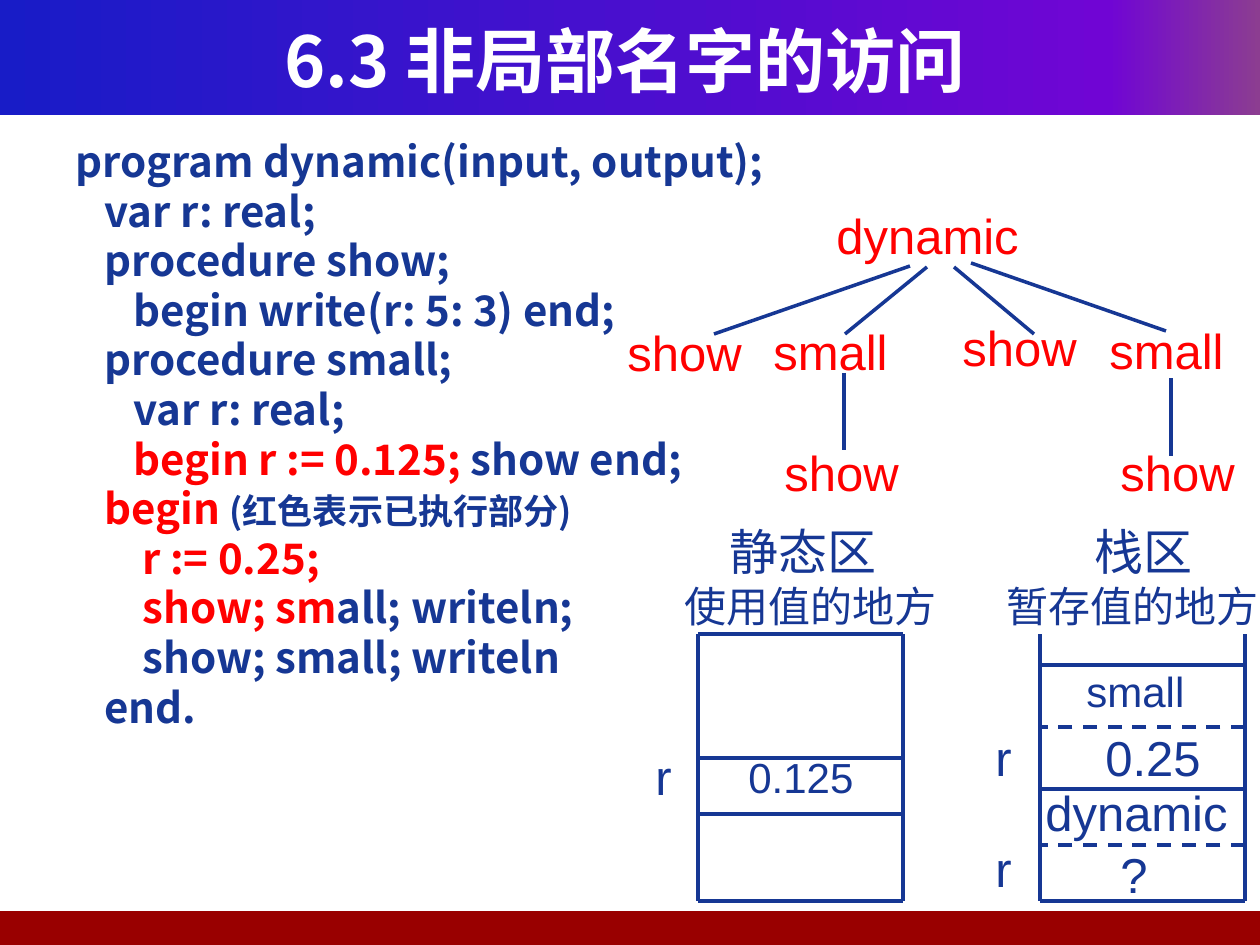
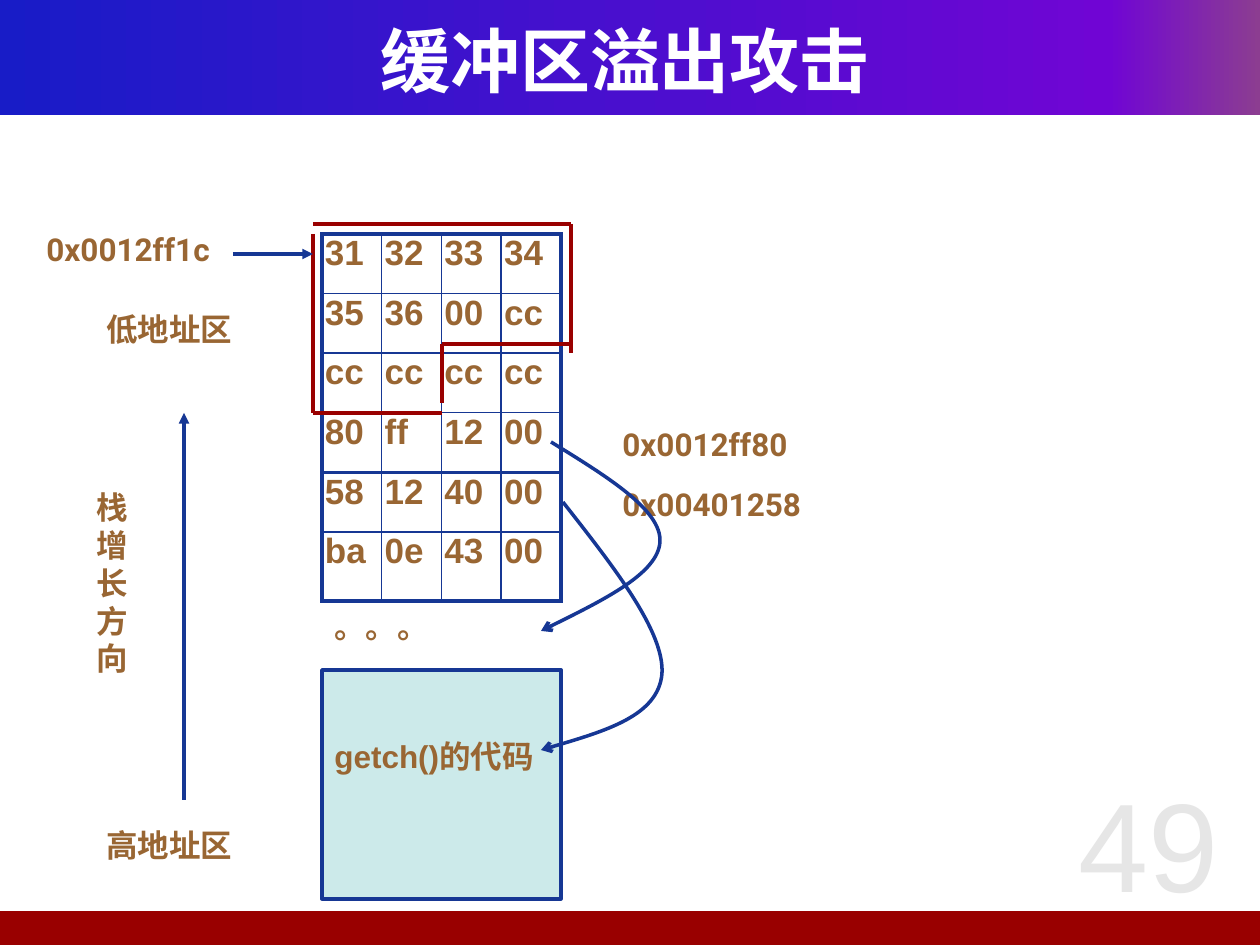
from copy import deepcopy

from lxml.etree import SubElement
from pptx import Presentation
from pptx.dml.color import RGBColor
from pptx.enum.dml import MSO_LINE
from pptx.enum.shapes import MSO_CONNECTOR, MSO_SHAPE
from pptx.enum.text import MSO_ANCHOR, PP_ALIGN
from pptx.oxml.ns import qn
from pptx.util import Pt

PX = 914400 / 126
BLUE, RED, CRIMSON, BROWN = "163794", "FF0000", "990000", "996633"
TEAL, WHITE, GREY = "009999", "FFFFFF", "E6E6E6"
BAND_STOPS = [(0, "181CC7"), (0.88, "7005D4"), (1, "8C3D91")]
SANS, CJK, LABEL = "Arial", "Noto Sans CJK SC", "Roboto"


def px(n):
    return round(n * PX)


def rgb(value):
    return RGBColor.from_string(value)


def style_run(r, size, color, font, bold):
    r.font.size = Pt(size)
    r.font.bold = bold
    r.font.name = font
    r.font.color.rgb = rgb(color)
    SubElement(r._r.get_or_add_rPr(), qn("a:ea"), typeface=font)


def add_text(s, box, paras, size=28, color=BLUE, font=SANS, bold=False,
             align=PP_ALIGN.LEFT, anchor=MSO_ANCHOR.TOP, wrap=True, pitch=None):
    """paras is a string, or a list of (indent, [(text, color, size), ...]);
    None for a run's color or size takes the default."""
    if isinstance(paras, str):
        paras = [(0, [(paras, None, None)])]
    tf = s.shapes.add_textbox(*map(px, box)).text_frame
    tf.word_wrap = wrap
    tf.vertical_anchor = anchor
    for i, (indent, runs) in enumerate(paras):
        p = tf.paragraphs[0] if i == 0 else tf.add_paragraph()
        p.alignment = align
        if indent:
            p._p.get_or_add_pPr().set("marL", str(px(indent)))
        if pitch:
            p.line_spacing = Pt(pitch)
        for text, run_color, run_size in runs:
            r = p.add_run()
            r.text = text
            style_run(r, run_size or size, run_color or color, font, bold)
    return tf


def add_head(line, kind):
    SubElement(line._get_or_add_ln(), qn("a:tailEnd"), type=kind)


def add_line(s, x1, y1, x2, y2, color=BLUE, dashed=False, head=None):
    c = s.shapes.add_connector(MSO_CONNECTOR.STRAIGHT, *map(px, (x1, y1, x2, y2)))
    c.line.color.rgb = rgb(color)
    c.line.width = Pt(2)
    if dashed:
        c.line.dash_style = MSO_LINE.DASH
    if head:
        add_head(c.line, head)
    SubElement(c._element.spPr, qn("a:effectLst"))


def add_rect(s, box, fill, line=None):
    sp = s.shapes.add_shape(MSO_SHAPE.RECTANGLE, *map(px, box))
    sp.shadow.inherit = False
    sp.fill.solid()
    sp.fill.fore_color.rgb = rgb(fill)
    if line:
        sp.line.color.rgb = rgb(line)
        sp.line.width = Pt(2)
    else:
        sp.line.fill.background()
    return sp


def add_curve_arrow(s, start, *points):
    """Cubic curve: points come in threes, two controls and an end."""
    builder = s.shapes.build_freeform(*start, scale=PX)
    builder.add_line_segments(points, close=False)
    sp = builder.convert_to_shape()
    sp.shadow.inherit = False
    sp.fill.background()
    sp.line.color.rgb = rgb(BLUE)
    sp.line.width = Pt(2)
    add_head(sp.line, "arrow")
    path = next(sp._element.iter(qn("a:path")))
    segments = path.findall(qn("a:lnTo"))
    for i in range(0, len(segments), 3):
        curve = SubElement(path, qn("a:cubicBezTo"))
        for segment in segments[i:i + 3]:
            curve.append(segment[0])
            path.remove(segment)


def add_base_slide(prs, title):
    s = prs.slides.add_slide(prs.slide_layouts[6])
    band = add_rect(s, (0, 0, 1260, 115), BLUE)
    band.fill.gradient()
    band.fill.gradient_angle = 0
    stops = next(band._element.iter(qn("a:gsLst")))
    stops.append(deepcopy(stops[0]))
    for stop, (position, color) in zip(band.fill.gradient_stops, BAND_STOPS):
        stop.position = position
        stop.color.rgb = rgb(color)
    add_rect(s, (-5, 911, 1265, 34), CRIMSON)
    add_text(s, (42, 21, 1166, 78), title, 40, WHITE, CJK, True,
             PP_ALIGN.CENTER, MSO_ANCHOR.MIDDLE)
    return s


def add_program(s, box):
    step = 29
    lines = [
        (0, [("program dynamic(input, output);", None, None)]),
        (step, [("var r: real;", None, None)]),
        (step, [("procedure show;", None, None)]),
        (2 * step, [("begin write(r: 5: 3) end;", None, None)]),
        (step, [("procedure small;", None, None)]),
        (2 * step, [("var r: real;", None, None)]),
        (2 * step, [("begin r := 0.125; ", RED, None), ("show end;", None, None)]),
        (step, [("begin ", RED, None), ("(红色表示已执行部分)", None, 20)]),
        (67, [("r := 0.25;", RED, None)]),
        (67, [("show; sm", RED, None), ("all; writeln;", None, None)]),
        (67, [("show; small; writeln", None, None)]),
        (step, [("end.", None, None)]),
    ]
    add_text(s, box, lines, 24, font=CJK, bold=True, pitch=28.35)


def add_call_tree(s, x, y):
    calls = [("dynamic", 209, 0), ("show", 0, 117), ("small", 146, 116),
             ("show", 335, 112), ("small", 482, 115),
             ("show", 157, 237), ("show", 493, 237)]
    edges = [(295, 67, 99, 135), (312, 68, 230, 135), (339, 68, 419, 135),
             (356, 64, 551, 132), (229, 174, 229, 251), (556, 179, 556, 257)]
    for name, dx, dy in calls:
        add_text(s, (x + dx, y + dy, 210 if dy == 0 else 150, 68), name, color=RED)
    for x1, y1, x2, y2 in edges:
        add_line(s, x + x1, y + y1, x + x2, y + y2)


def add_memory_area(s, box, heading, rules, labels):
    """heading is (dx, indent, name, use); rules are (dy, dashed);
    labels are (text, dx, dy, size)."""
    x, y, w, h = box
    dx, indent, name, use = heading
    tf = add_text(s, (x + dx, y - 119, 267, 112),
                  [(indent, [(name, None, 28)]), (0, [(use, None, 24)])])
    tf.margin_left = tf.margin_right = px(5)
    for side in (x, x + w):
        add_line(s, side, y + h, side, y)
    for dy, dashed in rules:
        add_line(s, x + w, y + dy, x, y + dy, dashed=dashed)
    for text, dx, dy, size in labels:
        add_text(s, (x + dx, y + dy, 217, 68), text, size, wrap=False)


def add_stack_table(s, box):
    x, y, w, h = box
    rows = ["31 32 33 34", "35 36 00 cc", "cc cc cc cc",
            "80 ff 12 00", "58 12 40 00", "ba 0e 43 00"]
    tbl = s.shapes.add_table(6, 4, *map(px, box)).table
    tbl.first_row = tbl.horz_banding = False
    for col in tbl.columns:
        col.width = px(w) // 4
    for i, row in enumerate(tbl.rows):
        row.height = px(298) // 5 if i < 5 else px(h - 298)
    for i, row in enumerate(rows):
        for j, byte in enumerate(row.split()):
            cell = tbl.cell(i, j)
            cell.margin_left = cell.margin_right = px(3)
            cell.margin_top = cell.margin_bottom = 0
            cell.fill.background()
            r = cell.text_frame.paragraphs[0].add_run()
            r.text = byte
            style_run(r, 20, BROWN, SANS, True)
            set_borders(cell, L=j == 0, R=j == 3, T=i in (0, 4), B=i in (3, 5))


def set_borders(cell, **thick):
    tcPr = cell._tc.get_or_add_tcPr()
    for k, (side, is_thick) in enumerate(thick.items()):
        ln = SubElement(tcPr, qn("a:ln" + side), w=str(Pt(2.25 if is_thick else 1)))
        SubElement(SubElement(ln, qn("a:solidFill")), qn("a:srgbClr"), val=BLUE)
        tcPr.insert(k, ln)


def add_buffer_outline(s, x, y):
    edges = [(0, 10, 0, 189), (0, 0, 258, 0), (258, 0, 258, 129),
             (129, 120, 258, 120), (129, 120, 129, 179), (0, 189, 129, 189)]
    for x1, y1, x2, y2 in edges:
        add_line(s, x + x1, y + y1, x + x2, y + y2, CRIMSON)


def add_label(s, text, x, y, w=218, h=50, font=LABEL):
    add_text(s, (x, y, w, h), text, 18, BROWN, font, True)


def add_code_block(s, box):
    x, y, w, h = box
    sp = add_rect(s, box, TEAL, BLUE)
    color = next(sp._element.spPr.find(qn("a:solidFill")).iter(qn("a:srgbClr")))
    SubElement(color, qn("a:alpha"), val="20000")
    add_label(s, "getch()的代码", x, y + 61, w + 10, 107, SANS)


def build_access_slide(prs):
    s = add_base_slide(prs, "6.3 非局部名字的访问")
    add_program(s, (63, 130, 1134, 723))
    add_call_tree(s, 615, 199)
    add_memory_area(
        s, (698, 634, 205, 267), (-18, 45, "静态区", "使用值的地方"),
        [(0, False), (124, False), (180, False), (267, False)],
        [("0.125", 38, 111, 24), ("r", -55, 106, 28)])
    add_memory_area(
        s, (1040, 634, 205, 267), (-38, 88, "栈区", "暂存值的地方"),
        [(31, False), (93, True), (155, False), (211, True), (267, False)],
        [("small", 34, 25, 24), ("0.25", 53, 87, 28), ("r", -57, 87, 28),
         ("dynamic", -7, 142, 28), ("?", 68, 204, 28), ("r", -57, 198, 28)])


def build_overflow_slide(prs):
    s = add_base_slide(prs, "缓冲区溢出攻击")
    add_text(s, (1037, 760, 223, 179), "49", 72, GREY, align=PP_ALIGN.CENTER)
    add_stack_table(s, (322, 234, 239, 367))
    add_buffer_outline(s, 313, 224)
    add_label(s, "0x00401258", 610, 479, 248)
    add_label(s, "0x0012ff80", 610, 419)
    add_label(s, "0x0012ff1c", 34, 224)
    add_line(s, 233, 254, 313, 254, head="triangle")
    add_code_block(s, (322, 670, 239, 229))
    add_curve_arrow(s, (563, 502), (614, 567), (665, 632), (662, 674),
                    (658, 716), (599, 733), (541, 750))
    add_curve_arrow(s, (551, 442), (606, 476), (662, 510), (660, 542),
                    (658, 573), (600, 602), (541, 631))
    add_label(s, "。。。", 322, 601, 239)
    add_label(s, "低地址区", 94, 304)
    add_label(s, "高地址区", 94, 820)
    add_line(s, 184, 800, 184, 413, head="triangle")
    add_label(s, "栈增长方向", 84, 482, 59, 202)


def main():
    prs = Presentation()
    prs.slide_width, prs.slide_height = px(1260), px(945)
    build_access_slide(prs)
    build_overflow_slide(prs)
    prs.save("out.pptx")


if __name__ == "__main__":
    main()
